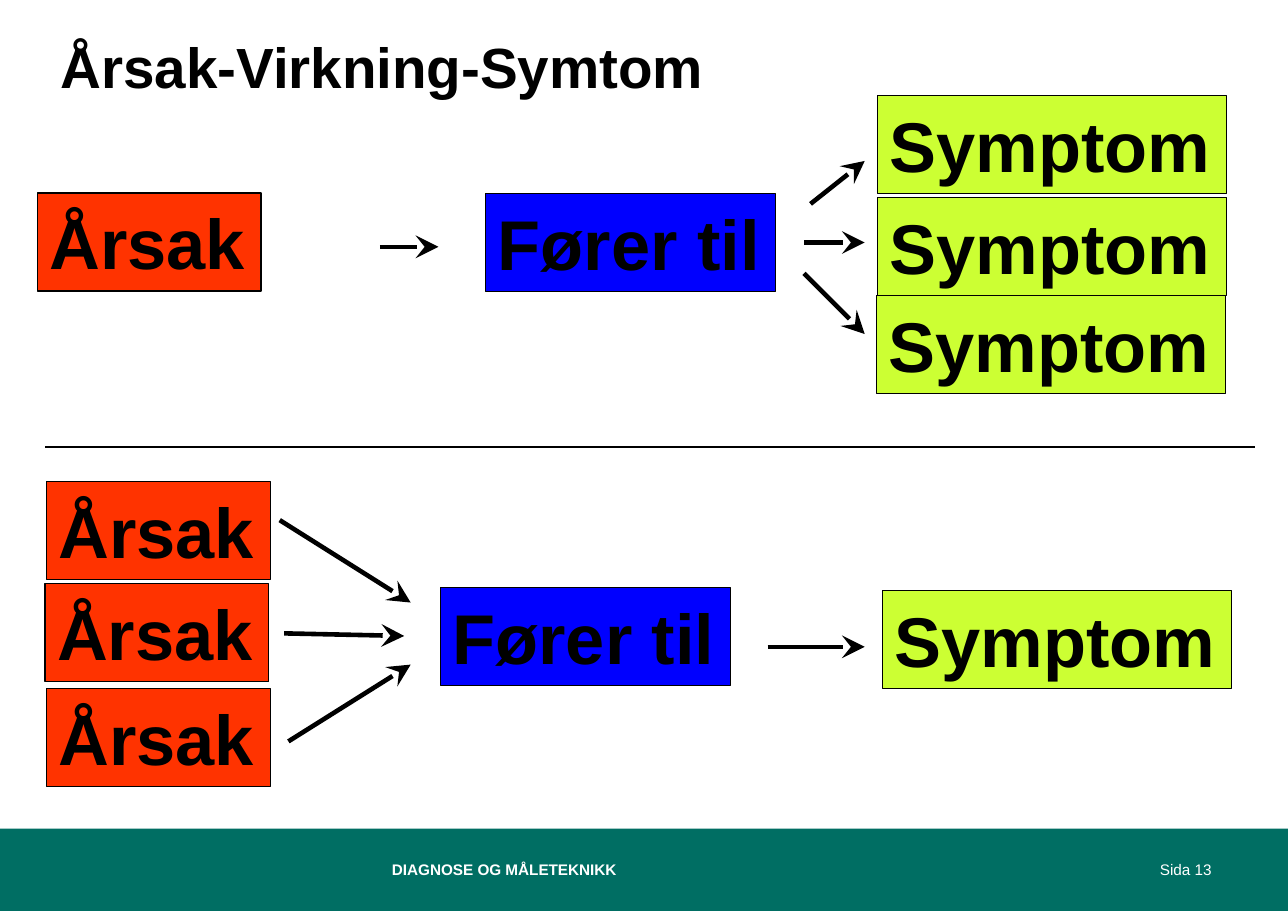
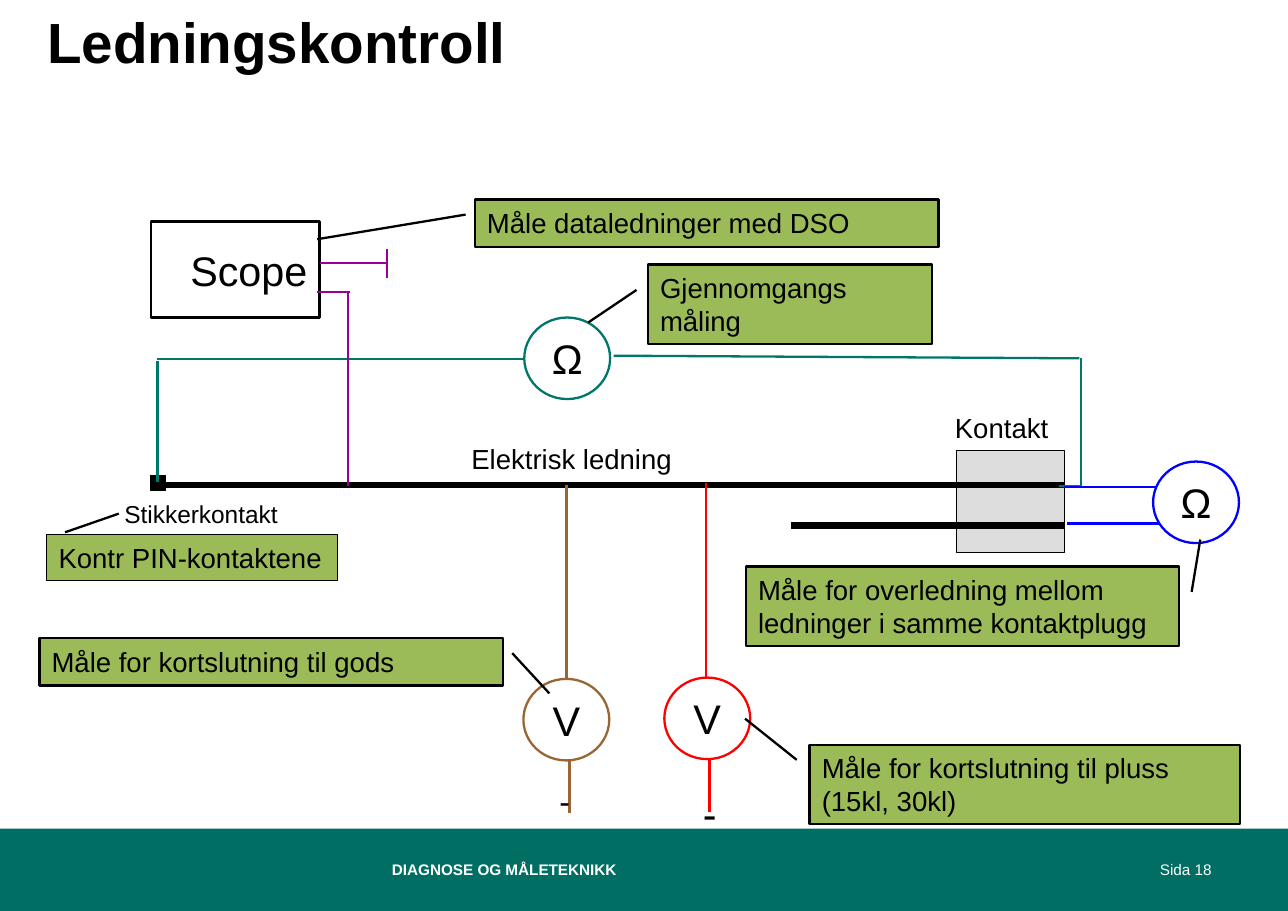
from lxml.etree import SubElement
from pptx import Presentation
from pptx.dml.color import RGBColor
from pptx.enum.shapes import MSO_CONNECTOR as LINK, MSO_SHAPE as FORM
from pptx.enum.text import MSO_ANCHOR as ANCHOR, MSO_AUTO_SIZE as FIT, PP_ALIGN as ALIGN
from pptx.oxml.ns import qn
from pptx.util import Cm, Pt

BLACK = RGBColor(0x00, 0x00, 0x00)
WHITE = RGBColor(0xFF, 0xFF, 0xFF)
BAND = RGBColor(0x00, 0x6E, 0x63)
CAUSE = RGBColor(0xFF, 0x33, 0x00)
BLUE = RGBColor(0x00, 0x00, 0xFF)
SIGN = RGBColor(0xCC, 0xFF, 0x33)
NOTE = RGBColor(0x9B, 0xBB, 0x59)
GREY = RGBColor(0xDD, 0xDD, 0xDD)
TEAL = RGBColor(0x00, 0x78, 0x69)
RED = RGBColor(0xFF, 0x00, 0x00)
BROWN = RGBColor(0x99, 0x66, 0x33)
PURPLE = RGBColor(0x99, 0x00, 0x99)

FONT = "Arial"
WIDTH, HEIGHT = 29.7, 21
BAND_TOP, BAND_HIGH = 19.1, 1.9


def write(shape, text, size=18, color=BLACK, bold=False, align=ALIGN.LEFT,
          anchor=ANCHOR.TOP, wrap=False, fit=FIT.NONE):
    frame = shape.text_frame
    frame.word_wrap, frame.auto_size, frame.vertical_anchor = wrap, fit, anchor
    frame.margin_left = frame.margin_right = Cm(0.28)
    frame.margin_top = frame.margin_bottom = Cm(0.15)
    para = frame.paragraphs[0]
    para.text, para.alignment = text, align
    for run in para.runs:
        font = run.font
        font.name, font.size, font.bold = FONT, Pt(size), bold
        font.color.rgb = color


def label(slide, text, place, fit=FIT.SHAPE_TO_FIT_TEXT, **style):
    box = slide.shapes.add_textbox(*map(Cm, place))
    write(box, text, fit=fit, **style)


def block(slide, place, fill=None, edge=BLACK, width=0.75, form=FORM.RECTANGLE):
    """Add a preset shape; without a fill or an edge colour that part is clear."""
    shape = slide.shapes.add_shape(form, *map(Cm, place))
    shape.shadow.inherit = False
    for part, color in ((shape.fill, fill), (shape.line.fill, edge)):
        if color is None:
            part.background()
        else:
            part.solid()
            part.fore_color.rgb = color
    if edge is not None:
        shape.line.width = Pt(width)
    return shape


def link(slide, ends, color=BLACK, width=1.5, arrow=False):
    line = slide.shapes.add_connector(LINK.STRAIGHT, *map(Cm, ends))
    line.line.color.rgb = color
    line.line.width = Pt(width)
    if arrow:
        SubElement(line.get_or_add_ln(), qn("a:tailEnd"),
                   type="stealth", w="lg", len="lg")
    SubElement(line._element.spPr, qn("a:effectLst"))


def meter(slide, text, left, top, color):
    ring = block(slide, (left, top, 1.98, 1.88), edge=color, width=1.5, form=FORM.OVAL)
    write(ring, text, size=27, align=ALIGN.CENTER, anchor=ANCHOR.MIDDLE)


def callout(slide, text, place, lead):
    """Add a note whose lead line is given as y, x, y, x in parts of its size."""
    note = block(slide, place, NOTE, width=1.5, form=FORM.LINE_CALLOUT_1)
    for spot, value in enumerate(lead):
        note.adjustments[spot] = value
    write(note, text, wrap=True, fit=FIT.SHAPE_TO_FIT_TEXT)


def start(deck, title, left, top, page):
    """Add a slide with its title, footer band and page number."""
    slide = deck.slides.add_slide(deck.slide_layouts[6])
    block(slide, (0, BAND_TOP, WIDTH, BAND_HIGH), BAND, edge=None)
    foot = dict(size=10, color=WHITE, anchor=ANCHOR.MIDDLE, wrap=True, fit=FIT.NONE)
    label(slide, f"Sida {page}", (23.75, BAND_TOP, 4.47, BAND_HIGH),
          align=ALIGN.RIGHT, **foot)
    label(slide, "DIAGNOSE OG MÅLETEKNIKK", (8.76, BAND_TOP, 16.84, BAND_HIGH),
          bold=True, **foot)
    label(slide, title, (left, top, 26.75, 2.11), size=37, bold=True,
          wrap=True, fit=FIT.NONE)
    return slide


def effects(deck):
    slide = start(deck, "Årsak-Virkning-Symtom", 1.12, 0.58, 13)
    groups = (
        ("Årsak", CAUSE, 5.16,
         ((0.86, 4.45), (1.07, 11.1), (1.04, 13.46), (1.07, 15.88))),
        ("Symptom", SIGN, 8.05,
         ((20.24, 2.21), (20.24, 4.55), (20.22, 6.81), (20.35, 13.61))),
        ("Fører til", BLUE, 6.68, ((11.2, 4.47), (10.16, 13.54))),
    )
    for text, fill, wide, spots in groups:
        for left, top in spots:
            box = block(slide, (left, top, wide, 2.26), fill)
            write(box, text, size=46, bold=True, fit=FIT.SHAPE_TO_FIT_TEXT)
    for ends in (
        (8.76, 5.69, 10.11, 5.69),
        (18.69, 4.7, 19.94, 3.71),
        (18.54, 5.59, 19.94, 5.59),
        (18.54, 6.3, 19.94, 7.7),
        (6.45, 11.99, 9.47, 13.89),
        (6.55, 14.6, 9.32, 14.66),
        (6.65, 17.09, 9.47, 15.32),
        (17.7, 14.91, 19.94, 14.91),
    ):
        link(slide, ends, width=3, arrow=True)
    link(slide, (1.04, 10.31, 28.93, 10.31))


def wiring(deck):
    slide = start(deck, "Ledningskontroll", 0.81, 0, 18)
    block(slide, (22.05, 10.39, 2.49, 2.34), GREY)
    for left, top in ((3.81, 11.18), (18.24, 12.12)):
        link(slide, (left, top, 24.54, top), width=4.5)
    block(slide, (3.48, 10.97, 0.33, 0.33), BLACK)

    pins = block(slide, (1.07, 12.32, 6.71, 1.07), NOTE)
    write(pins, "Kontr PIN-kontaktene", fit=FIT.SHAPE_TO_FIT_TEXT)
    scope = block(slide, (3.48, 5.11, 3.89, 2.21), width=1.5)
    write(scope, "Scope", size=27, align=ALIGN.RIGHT, anchor=ANCHOR.MIDDLE)

    wires = (
        (TEAL, ((3.63, 11.1, 3.63, 8.33), (24.92, 11.23, 24.92, 8.26),
                (3.63, 8.28, 12.07, 8.28), (14.15, 8.2, 24.89, 8.26),
                (24.41, 11.2, 24.94, 11.2))),
        (RED, ((16.28, 11.13, 16.28, 15.6), (16.36, 17.5, 16.36, 18.72))),
        (BROWN, ((13.06, 11.18, 13.06, 15.62), (13.13, 17.53, 13.13, 18.75))),
        (BLUE, ((24.54, 11.23, 26.67, 11.23), (24.61, 12.07, 26.75, 12.07))),
        (PURPLE, ((7.32, 6.73, 8.08, 6.73), (8.03, 6.73, 8.03, 11.2),
                  (7.39, 6.07, 8.92, 6.07), (8.92, 5.74, 8.92, 6.4))),
        (BLACK, ((2.74, 11.84, 1.5, 12.27),)),
    )
    for color, runs in wires:
        for ends in runs:
            link(slide, ends, color)

    for text, left, top, color in (
        ("Ω", 12.09, 7.32, TEAL),
        ("V", 15.32, 15.62, RED),
        ("V", 12.07, 15.65, BROWN),
        ("Ω", 26.59, 10.64, BLUE),
    ):
        meter(slide, text, left, top, color)

    for text, size, place in (
        ("Stikkerkontakt", 16, (2.59, 11.35, 4.17, 0.97)),
        ("Elektrisk ledning", 18, (10.59, 10.03, 5.26, 1.07)),
        ("Kontakt", 18, (21.74, 9.32, 2.77, 1.07)),
        ("-", 27, (15.93, 18.01, 0.91, 1.45)),
        ("-", 21, (12.62, 17.86, 0.84, 1.19)),
    ):
        label(slide, text, place, size=size)

    for text, place, lead in (
        ("Måle for kortslutning til gods",
         (0.91, 14.71, 10.69, 1.09), (0.32, 1.02, 1.17, 1.1)),
        ("Måle for kortslutning til pluss\n(15kl, 30kl)",
         (18.67, 17.17, 9.93, 1.83), (0.19, -0.03, -0.33, -0.15)),
        ("Måle for overledning mellom ledninger i samme kontaktplugg",
         (17.2, 13.06, 9.98, 1.83), (0.32, 1.03, -0.34, 1.05)),
        ("Gjennomgangs måling",
         (14.94, 6.1, 6.55, 1.83), (0.32, -0.04, 0.73, -0.21)),
        ("Måle dataledninger med DSO",
         (10.95, 4.6, 10.69, 1.09), (0.32, -0.02, 0.84, -0.34)),
    ):
        callout(slide, text, place, lead)


def main():
    deck = Presentation()
    deck.slide_width, deck.slide_height = Cm(WIDTH), Cm(HEIGHT)
    effects(deck)
    wiring(deck)
    deck.save("out.pptx")


if __name__ == "__main__":
    main()
